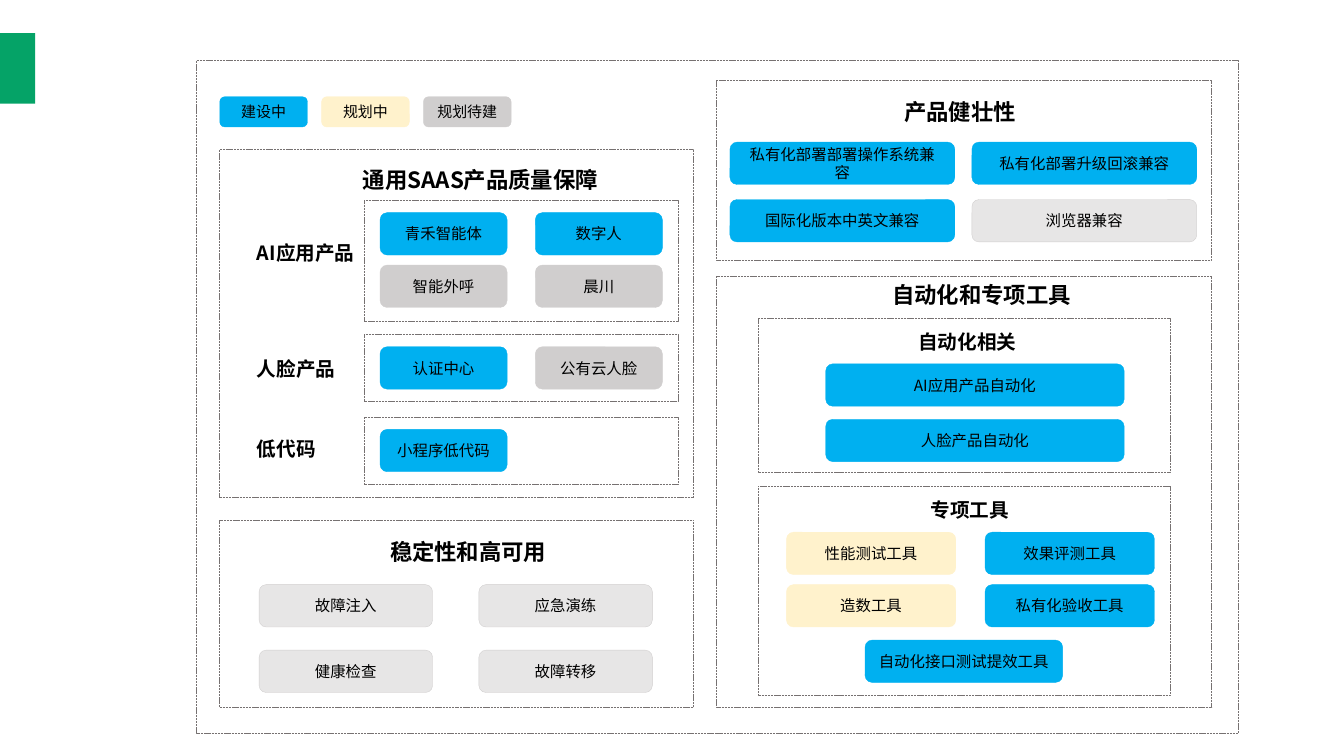
from pptx import Presentation
from pptx.dml.color import RGBColor
from pptx.enum.dml import MSO_LINE
from pptx.enum.shapes import MSO_SHAPE
from pptx.enum.text import MSO_ANCHOR, PP_ALIGN
from pptx.oxml.ns import qn
from pptx.util import Pt
from lxml.etree import SubElement

PX = 9144  # 100 px to the inch
FONT = "Noto Sans CJK SC"
HEX = {"green": "05A367", "blue": "00B0F0", "cream": "FFF2CC", "gray": "D0CECE",
       "pale": "E7E6E6", "edge": "767171", "white": "FFFFFF", "black": "000000"}
CHIP_H = 42


def color(name):
    return RGBColor.from_string(HEX[name])


def block(slide, kind, box, fill, edge=None, width=0.25):
    shape = slide.shapes.add_shape(kind, *(n * PX for n in box))
    shape.shadow.inherit = False
    shape.fill.solid()
    shape.fill.fore_color.rgb = color(fill)
    if edge:
        shape.line.color.rgb = color(edge)
        shape.line.width = Pt(width)
    else:
        shape.line.fill.background()
    return shape


def write(shape, text, size, bold=False):
    """Put one styled run into a shape and return its paragraph."""
    shape.text_frame.word_wrap = True
    para = shape.text_frame.paragraphs[0]
    run = para.add_run()
    run.text = text
    for key, value in {"name": FONT, "size": Pt(size), "bold": bold}.items():
        setattr(run.font, key, value)
    run.font.color.rgb = color("black")
    SubElement(run.font._element, qn("a:ea")).set("typeface", FONT)
    return para


def frame(slide, box):
    shape = block(slide, MSO_SHAPE.RECTANGLE, box, "white", "edge", 0.5)
    shape.line.dash_style = MSO_LINE.SQUARE_DOT


def label(slide, box, dx, dy, width, text, size=16):
    spot = (box[0] + dx, box[1] + dy, width, 37 if size == 16 else 34)
    shape = slide.shapes.add_textbox(*(n * PX for n in spot))
    write(shape, text, size, True)


def chip(slide, box, text, tone, size=11):
    edge = "gray" if tone == "pale" else tone
    shape = block(slide, MSO_SHAPE.ROUNDED_RECTANGLE, box, tone, edge)
    shape.text_frame.vertical_anchor = MSO_ANCHOR.MIDDLE
    write(shape, text, size).alignment = PP_ALIGN.CENTER


def grid(slide, box, start, width, step, rows):
    """Place rows of (text, tone) chips from a start point inside the box."""
    for r, row in enumerate(rows):
        for c, (text, tone) in enumerate(row):
            x = box[0] + start[0] + c * step[0]
            y = box[1] + start[1] + r * step[1]
            chip(slide, (x, y, width, CHIP_H), text, tone)


def legend(slide, box):
    x, y, width, height = box
    for i, (text, tone) in enumerate(
            [("建设中", "blue"), ("规划中", "cream"), ("规划待建", "gray")]):
        chip(slide, (x + i * 101, y, width, height), text, tone, 10.7)


def saas(slide, box):
    frame(slide, box)
    label(slide, box, 132, 12, 278, "通用SAAS产品质量保障")
    lines = [
        ("AI应用产品", 51, 120, 35, [[("青禾智能体", "blue"), ("数字人", "blue")],
                                [("智能外呼", "gray"), ("晨川", "gray")]]),
        ("人脸产品", 184, 66, 17, [[("认证中心", "blue"), ("公有云人脸", "gray")]]),
        ("低代码", 266, 67, 15, [[("小程序低代码", "blue")]]),
    ]
    for name, dy, height, drop, rows in lines:
        inner = (box[0] + 143, box[1] + dy, 312, height)
        frame(slide, inner)
        label(slide, box, 27, dy + drop, 151, name, 14)
        grid(slide, inner, (16, 12), 126, (154, 52), rows)


def stable(slide, box):
    frame(slide, box)
    label(slide, box, 159, 13, 194, "稳定性和高可用")
    grid(slide, box, (39, 64), 172, (218, 65),
         [[("故障注入", "pale"), ("应急演练", "pale")],
          [("健康检查", "pale"), ("故障转移", "pale")]])


def robust(slide, box):
    frame(slide, box)
    label(slide, box, 176, 12, 178, "产品健壮性")
    grid(slide, box, (13, 61), 223, (240, 57),
         [[("私有化部署部署操作系统兼容", "blue"), ("私有化部署升级回滚兼容", "blue")],
          [("国际化版本中英文兼容", "blue"), ("浏览器兼容", "pale")]])


def tools(slide, box):
    frame(slide, box)
    label(slide, box, 164, 0, 203, "自动化和专项工具")
    auto = (box[0] + 41, box[1] + 42, 409, 153)
    frame(slide, auto)
    label(slide, auto, 149, 6, 151, "自动化相关", 14)
    grid(slide, auto, (67, 45), 296, (0, 55),
         [[("AI应用产品自动化", "blue")], [("人脸产品自动化", "blue")]])
    special = (box[0] + 41, box[1] + 208, 409, 208)
    frame(slide, special)
    label(slide, special, 161, 7, 106, "专项工具", 14)
    grid(slide, special, (28, 46), 168, (197, 52),
         [[("性能测试工具", "cream"), ("效果评测工具", "blue")],
          [("造数工具", "cream"), ("私有化验收工具", "blue")]])
    grid(slide, special, (106, 153), 196, (0, 0), [[("自动化接口测试提效工具", "blue")]])


def main():
    deck = Presentation()
    deck.slide_width, deck.slide_height = 1333 * PX, 750 * PX
    slide = deck.slides.add_slide(deck.slide_layouts[6])
    block(slide, MSO_SHAPE.RECTANGLE, (0, 33, 35, 70), "green")
    frame(slide, (195, 60, 1033, 668))
    legend(slide, (218, 96, 87, 30))
    saas(slide, (218, 148, 470, 346))
    stable(slide, (218, 516, 470, 186))
    robust(slide, (711, 80, 491, 178))
    tools(slide, (711, 274, 491, 428))
    deck.save("out.pptx")


if __name__ == "__main__":
    main()
